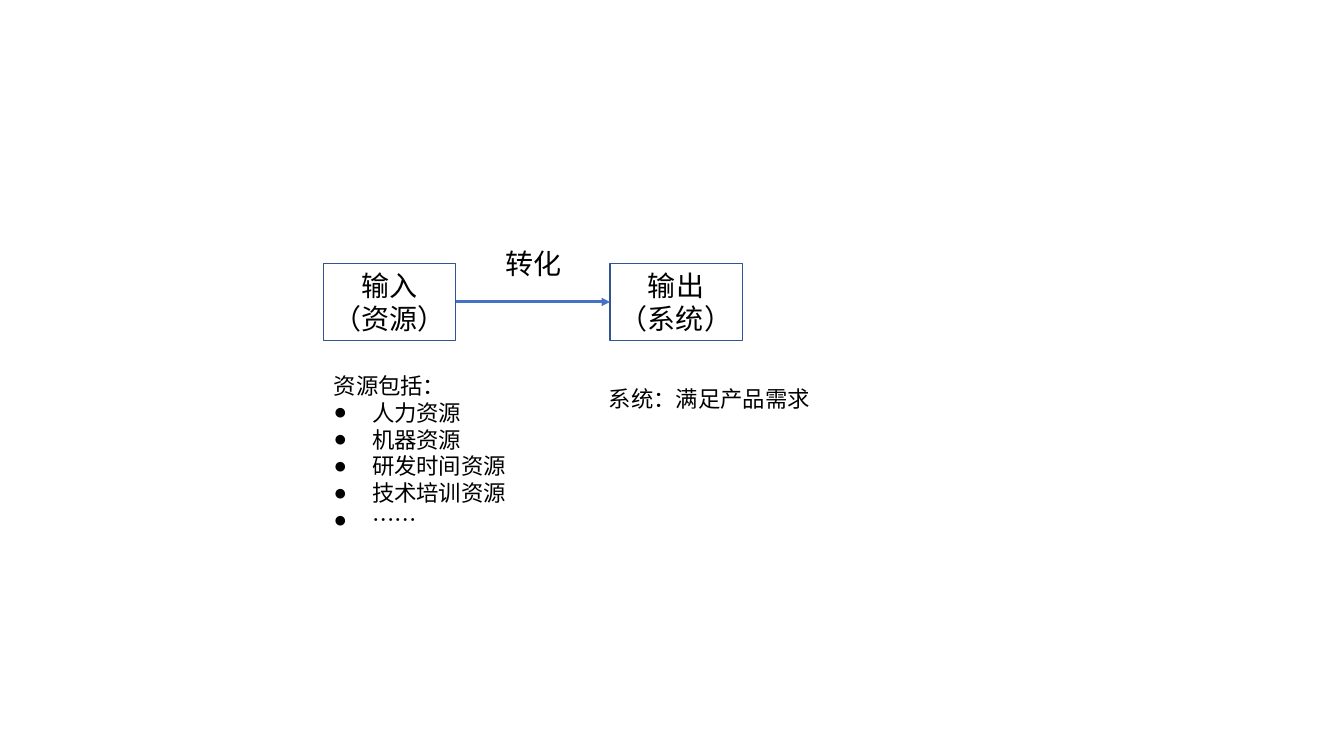
from lxml import etree
from pptx import Presentation
from pptx.dml.color import RGBColor
from pptx.enum.shapes import MSO_CONNECTOR, MSO_SHAPE
from pptx.enum.text import MSO_ANCHOR, MSO_AUTO_SIZE, PP_ALIGN
from pptx.oxml.ns import qn
from pptx.util import Pt

RECT = MSO_SHAPE.RECTANGLE
LINE = MSO_CONNECTOR.STRAIGHT
LEFT, CENTER = PP_ALIGN.LEFT, PP_ALIGN.CENTER
TOP, MIDDLE = MSO_ANCHOR.TOP, MSO_ANCHOR.MIDDLE
FIXED = MSO_AUTO_SIZE.NONE

BLACK = RGBColor(0x00, 0x00, 0x00)
NAVY = RGBColor(0x32, 0x54, 0x91)
BLUE = RGBColor(0x44, 0x72, 0xC4)

FONT = "Noto Sans CJK SC"
PX = 9144  # 100 px to the inch
BOX_W, BOX_H, BOX_Y = 131, 77, 261
INDENT = 38


def px(*nums):
    return [n * PX for n in nums]


def add(parent, tag, **attrs):
    return etree.SubElement(parent, qn(tag), attrs)


def write(shape, lines, size, align=LEFT, anchor=TOP):
    frame = shape.text_frame
    form = {"word_wrap": True, "auto_size": FIXED, "vertical_anchor": anchor}
    for key, value in form.items():
        setattr(frame, key, value)
    frame.text = "\n".join(lines)
    for para in frame.paragraphs:
        form = {"alignment": align, "space_before": Pt(0), "line_spacing": 1.0}
        for key, value in form.items():
            setattr(para, key, value)
        for run in para.runs:
            run.font.size = Pt(size)
            run.font.color.rgb = BLACK
            run.font.name = FONT
            add(run.font._element, "a:ea", typeface=FONT)
    return frame


def add_box(slide, left, lines):
    box = slide.shapes.add_shape(RECT, *px(left, BOX_Y, BOX_W, BOX_H))
    box.shadow.inherit = False
    box.fill.background()
    box.line.color.rgb = NAVY
    box.line.width = Pt(0.75)
    write(box, lines, 20, CENTER, MIDDLE)
    return box


def add_arrow(slide, start, end):
    arrow = slide.shapes.add_connector(LINE, 0, 0, 0, 0)
    arrow.begin_connect(start, 3)
    arrow.end_connect(end, 1)
    arrow.line.color.rgb = BLUE
    arrow.line.width = Pt(2)
    add(arrow.line._get_or_add_ln(), "a:tailEnd", type="triangle")
    add(arrow._element.spPr, "a:effectLst")


def add_label(slide, area, text, size, align=LEFT):
    label = slide.shapes.add_textbox(*px(*area))
    write(label, [text], size, align)


def fill_list(body, area, head, items):
    body.left, body.top, body.width, body.height = px(*area)
    frame = write(body, [head, *items], 16)
    for index, para in enumerate(frame.paragraphs):
        props = para._p.get_or_add_pPr()
        indent = INDENT * PX if index else 0
        props.set("marL", str(indent))
        props.set("indent", str(-indent))
        if index:
            add(props, "a:buFont", typeface="Arial")
            add(props, "a:buChar", char="●")
        else:
            add(props, "a:buNone")


def main():
    deck = Presentation()
    deck.slide_width, deck.slide_height = px(1333, 750)
    slide = deck.slides.add_slide(deck.slide_layouts[1])
    title, body = slide.placeholders
    title._element.getparent().remove(title._element)

    # Flow from input to output
    source = add_box(slide, 321, ["输入", "（资源）"])
    target = add_box(slide, 605, ["输出", "（系统）"])
    add_arrow(slide, source, target)
    add_label(slide, (479, 240, 100, 44), "转化", 20, CENTER)

    # Notes below the boxes
    add_label(slide, (594, 377, 285, 37), "系统：满足产品需求", 16)
    fill_list(body, (321, 364, 250, 172), "资源包括：",
              ["人力资源", "机器资源", "研发时间资源", "技术培训资源", "……"])

    deck.save("out.pptx")


if __name__ == "__main__":
    main()
